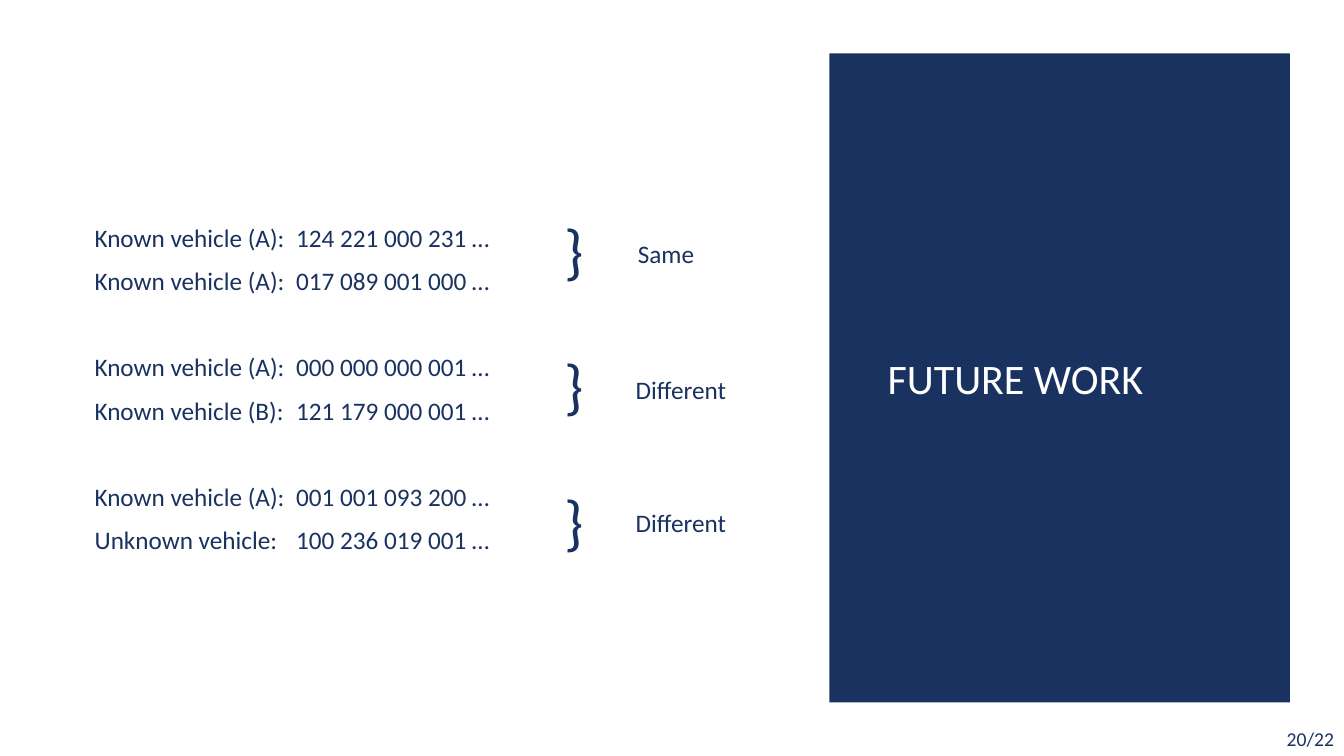
from lxml import etree
from pptx import Presentation
from pptx.dml.color import RGBColor
from pptx.enum.shapes import MSO_SHAPE as Shape
from pptx.enum.text import MSO_ANCHOR as Anchor, PP_ALIGN as Align
from pptx.oxml.ns import qn
from pptx.util import Pt

NAVY = RGBColor(0x1A, 0x32, 0x60)
WHITE = RGBColor(0xFF, 0xFF, 0xFF)
FONT = "Calibri"

TAB_STOP = 144
LINE_GAP = 9.2
PAIR_GAP = 40.4
BRACE_TOP = 145.5
BRACE_PITCH = 96.5

# Two vehicle readings, the verdict, and the left and top of the verdict
COMPARISONS = [
    (("Known vehicle (A):\t124 221 000 231 …",
      "Known vehicle (A):\t017 089 001 000 …"), "Same", 448.5, 156),
    (("Known vehicle (A):\t000 000 000 001 …",
      "Known vehicle (B):\t121 179 000 001 …"), "Different", 447, 253),
    (("Known vehicle (A):\t001 001 093 200 …",
      "Unknown vehicle:\t100 236 019 001 …"), "Different", 447, 348),
]


def add_panel(page, left, top, width, height):
    panel = page.shapes.add_shape(Shape.RECTANGLE, Pt(left), Pt(top), Pt(width), Pt(height))
    panel.shadow.inherit = False
    panel.fill.solid()
    panel.fill.fore_color.rgb = NAVY
    panel.line.fill.background()


def add_box(page, left, top, width, height, anchor=Anchor.MIDDLE):
    box = page.shapes.add_textbox(Pt(left), Pt(top), Pt(width), Pt(height))
    frame = box.text_frame
    frame.word_wrap = True
    frame.vertical_anchor = anchor
    return frame


def add_span(para, text, size, color=NAVY):
    span = para.add_run()
    span.text = text
    span.font.name = FONT
    span.font.size = Pt(size)
    span.font.color.rgb = color


def add_tab_stop(para, position):
    tabs = etree.SubElement(para._p.get_or_add_pPr(), qn("a:tabLst"))
    etree.SubElement(tabs, qn("a:tab"), pos=str(Pt(position)), algn="l")


def add_label(page, text, left, top, width, height, size, color=NAVY):
    frame = add_box(page, left, top, width, height)
    add_span(frame.paragraphs[0], text, size, color)


def add_readings(page):
    frame = add_box(page, 60.5, 95.3, 331, 364.3)
    for pair, *_ in COMPARISONS:
        for position, reading in enumerate(pair):
            first = not frame.paragraphs[0].runs
            para = frame.paragraphs[0] if first else frame.add_paragraph()
            if not first:
                para.space_before = Pt(LINE_GAP if position else PAIR_GAP)
            add_tab_stop(para, TAB_STOP)
            add_span(para, reading, 18)


def main():
    deck = Presentation()
    deck.slide_width, deck.slide_height = Pt(960), Pt(540)
    page = deck.slides.add_slide(deck.slide_layouts[6])
    page.background.fill.solid()
    page.background.fill.fore_color.rgb = WHITE

    # Title panel
    add_panel(page, 592.5, 38.2, 329, 463.5)
    add_label(page, "FUTURE WORK", 627, 88, 258, 364, 30, WHITE)

    # Readings, braces and verdicts
    add_readings(page)
    for row, (_, verdict, left, top) in enumerate(COMPARISONS):
        add_label(page, verdict, left, top, 85, 50, 18)
        add_label(page, "}", 396, BRACE_TOP + row * BRACE_PITCH, 41, 65, 44)

    # Page number
    number = add_box(page, 881, 515.5, 79, 24.5, Anchor.TOP).paragraphs[0]
    number.alignment = Align.RIGHT
    add_span(number, "20/22", 14)

    deck.save("out.pptx")


if __name__ == "__main__":
    main()
